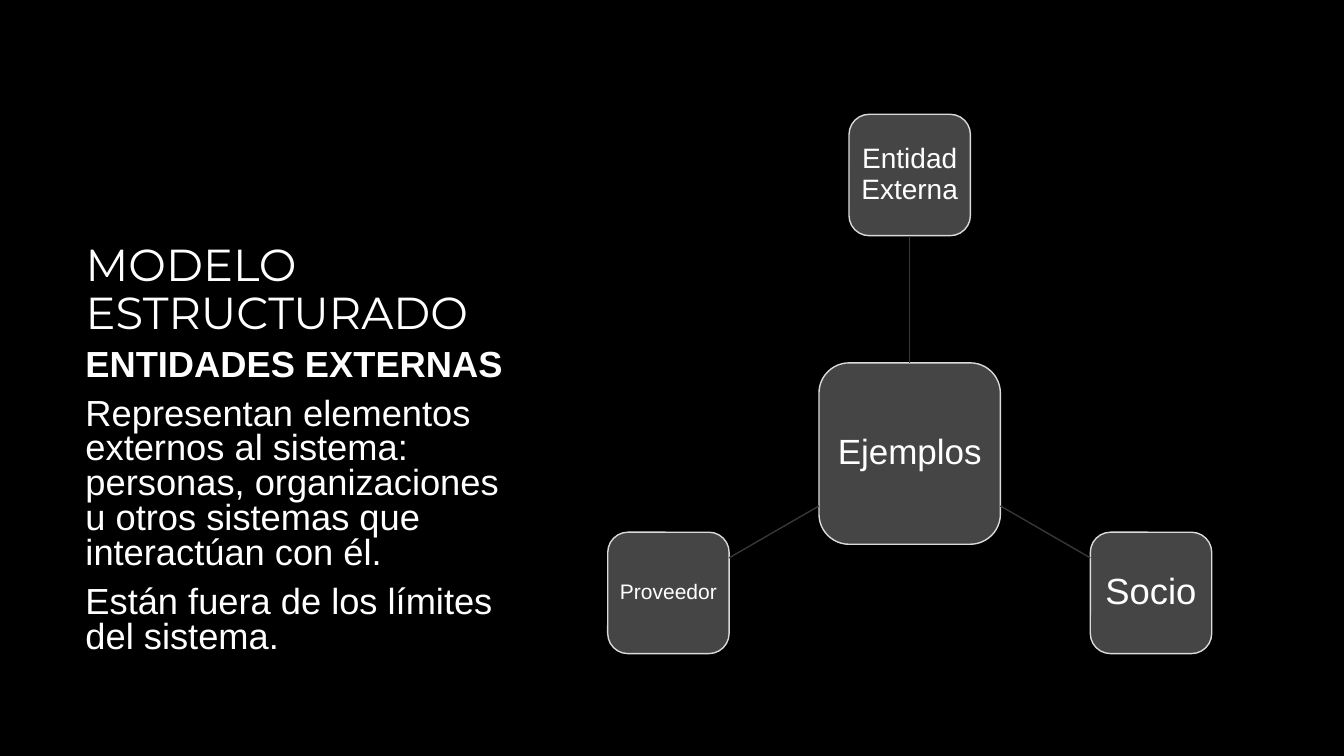
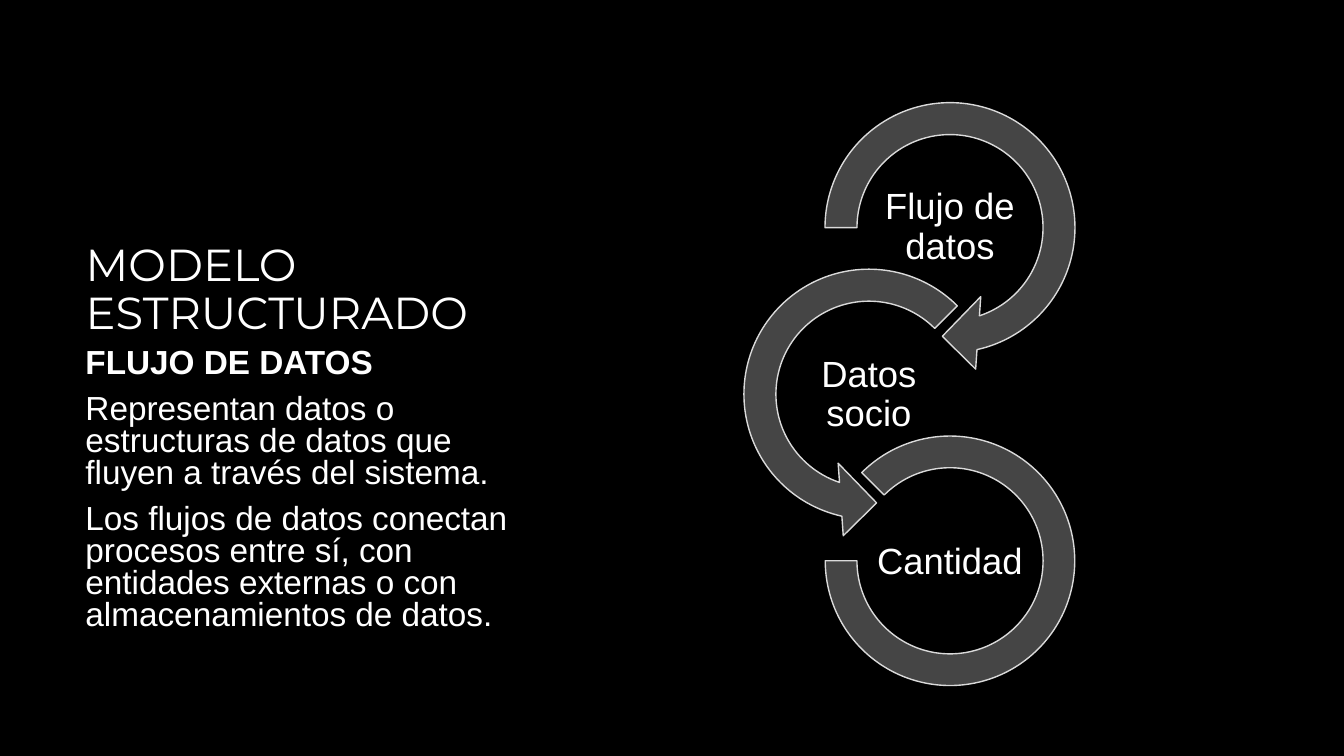
import dataclasses
import math

import lxml.etree
import pptx
import pptx.dml.color
import pptx.enum.shapes
import pptx.enum.text
import pptx.oxml.ns
import pptx.util

SHAPES = pptx.enum.shapes.MSO_SHAPE
ALIGN = pptx.enum.text.PP_ALIGN
ANCHOR = pptx.enum.text.MSO_ANCHOR
COLUMNS, ROWS = 160, 90
CELL = pptx.util.Inches(7.5) // ROWS


@dataclasses.dataclass(frozen=True)
class Theme:
    """Colours, fonts and type sizes shared by the slides."""

    ground: str = "000000"
    ink: str = "FFFFFF"
    fill: str = "454545"
    edge: str = "DADADA"
    link: str = "373737"
    title_font: str = "Montserrat"
    body_font: str = "Arial"
    title_size: float = 32
    label_size: float = 26
    line_width: float = 1


def colour(code):
    """Return the colour object for a hex code."""
    return pptx.dml.color.RGBColor.from_string(code)


def cells(*counts):
    """Turn grid cells into slide lengths."""
    return [round(count * CELL) for count in counts]


def write(frame, paragraphs, *, font, size, ink, align=ALIGN.LEFT, anchor=ANCHOR.TOP,
          spacing=0.9, before=0, bold_first=False, inset=None):
    """Fill a text frame with paragraphs in one format."""
    frame.word_wrap = True
    frame.auto_size = pptx.enum.text.MSO_AUTO_SIZE.NONE
    frame.vertical_anchor = anchor
    if inset is not None:
        frame.margin_left = frame.margin_right = pptx.util.Inches(inset)
        frame.margin_top = frame.margin_bottom = pptx.util.Inches(inset)
    for index, text in enumerate(paragraphs):
        para = frame.add_paragraph() if index else frame.paragraphs[0]
        para.alignment = align
        para.line_spacing = spacing
        para.space_before = pptx.util.Pt(before)
        span = para.add_run()
        span.text = text
        span.font.name = font
        span.font.size = pptx.util.Pt(size)
        span.font.bold = bold_first and index == 0
        span.font.color.rgb = colour(ink)


class Presenter:
    """Draws styled elements on the current slide."""

    def __init__(self, theme):
        """Create the deck with its size and background."""
        self.theme = theme
        self.deck = pptx.Presentation()
        self.deck.slide_width, self.deck.slide_height = cells(COLUMNS, ROWS)
        ground = self.deck.slide_master.background.fill
        ground.solid()
        ground.fore_color.rgb = colour(theme.ground)
        self.page = None

    def start(self, title, paragraphs, size):
        """Open a slide with its title and explanatory text."""
        self.page = self.deck.slides.add_slide(self.deck.slide_layouts[5])
        heading = self.page.shapes.title
        heading.left, heading.top, heading.width, heading.height = cells(9, 20, 54, 21)
        write(heading.text_frame, [title], font=self.theme.title_font,
              size=self.theme.title_size, ink=self.theme.ink, anchor=ANCHOR.BOTTOM)
        box = self.page.shapes.add_textbox(*cells(9, 41, 54, 40.5))
        write(box.text_frame, paragraphs, font=self.theme.body_font, size=size,
              ink=self.theme.ink, spacing=0.8, before=10, bold_first=True)

    def shape(self, kind, x, y, size, adjustments=()):
        """Add a filled square-framed shape centred on a point."""
        shape = self.page.shapes.add_shape(
            kind, *cells(x - size / 2, y - size / 2, size, size))
        shape.shadow.inherit = False
        shape.fill.solid()
        shape.fill.fore_color.rgb = colour(self.theme.fill)
        shape.line.color.rgb = colour(self.theme.edge)
        shape.line.width = pptx.util.Pt(self.theme.line_width)
        for index, value in enumerate(adjustments):
            shape.adjustments[index] = value
        return shape

    def label(self, frame, text, size, inset):
        """Write a centred label in a text frame."""
        write(frame, [text], font=self.theme.body_font, size=size, ink=self.theme.ink,
              align=ALIGN.CENTER, anchor=ANCHOR.MIDDLE, inset=inset)

    def node(self, text, x, y, side, size):
        """Add a labelled rounded square."""
        box = self.shape(SHAPES.ROUNDED_RECTANGLE, x, y, side)
        self.label(box.text_frame, text, size, 0.04)
        return box

    def caption(self, text, x, y):
        """Add a free label centred on a point."""
        box = self.page.shapes.add_textbox(*cells(x - 9.6, y - 4.8, 19.2, 9.6))
        self.label(box.text_frame, text, self.theme.label_size, 0.02)

    def link(self, start, end):
        """Add a straight line between two points."""
        line = self.page.shapes.add_connector(
            pptx.enum.shapes.MSO_CONNECTOR.STRAIGHT, *cells(*start, *end))
        line.line.color.rgb = colour(self.theme.link)
        line.line.width = pptx.util.Pt(self.theme.line_width)
        lxml.etree.SubElement(line._element.spPr, pptx.oxml.ns.qn("a:effectLst"))
        return line


def draw_entities(presenter):
    """Build the radial diagram of external entities."""
    presenter.start("MODELO ESTRUCTURADO", [
        "ENTIDADES EXTERNAS",
        "Representan elementos externos al sistema: personas, organizaciones "
        "u otros sistemas que interactúan con él.",
        "Están fuera de los límites del sistema.",
    ], 25.9)
    x, y, radius, core_side, outer_side = 108.3, 54, 33.17, 21.6, 14.45
    core = presenter.node("Ejemplos", x, y, core_side, 25)
    entities = [("Entidad Externa", 20), ("Socio", 26), ("Proveedor", 15)]
    for index, (text, size) in enumerate(entities):
        angle = math.tau * index / len(entities)
        across, down = math.sin(angle), -math.cos(angle)
        reach = 1 / max(abs(across), abs(down))
        near = core_side / 2 * reach
        far = radius - outer_side / 2 * reach
        outer = presenter.node(text, x + radius * across, y + radius * down,
                               outer_side, size)
        line = presenter.link((x + near * across, y + near * down),
                              (x + far * across, y + far * down))
        if index == 0:
            line.begin_connect(core, 0)
            line.end_connect(outer, 2)


def draw_flow(presenter):
    """Build the chain of circular arrows for the data flow."""
    presenter.start("MODELO ESTRUCTURADO", [
        "FLUJO DE DATOS",
        "Representan datos o estructuras de datos que fluyen a través del sistema.",
        "Los flujos de datos conectan procesos entre sí, con entidades externas "
        "o con almacenamientos de datos.",
    ], 23.8)
    right, left, top = 113.1, 103.45, 27.1
    rings = [
        ("Flujo de datos", SHAPES.CIRCULAR_ARROW, right, 34.6,
         (0.11, 11.42, 45, 108, 0.125)),
        ("Datos socio", SHAPES.LEFT_CIRCULAR_ARROW, left, 34.6,
         (0.11, 11.42, 63, 189, 0.125)),
        ("Cantidad", SHAPES.BLOCK_ARC, right, 29.7, (135, 108, 0.127)),
    ]
    for index, (text, kind, x, size, adjustments) in enumerate(rings):
        presenter.shape(kind, x, top + 19.83 * index, size, adjustments)
        presenter.caption(text, x, top + 19.95 * index)


def main():
    """Build and save the deck."""
    presenter = Presenter(Theme())
    draw_entities(presenter)
    draw_flow(presenter)
    presenter.deck.save("out.pptx")


if __name__ == "__main__":
    main()
